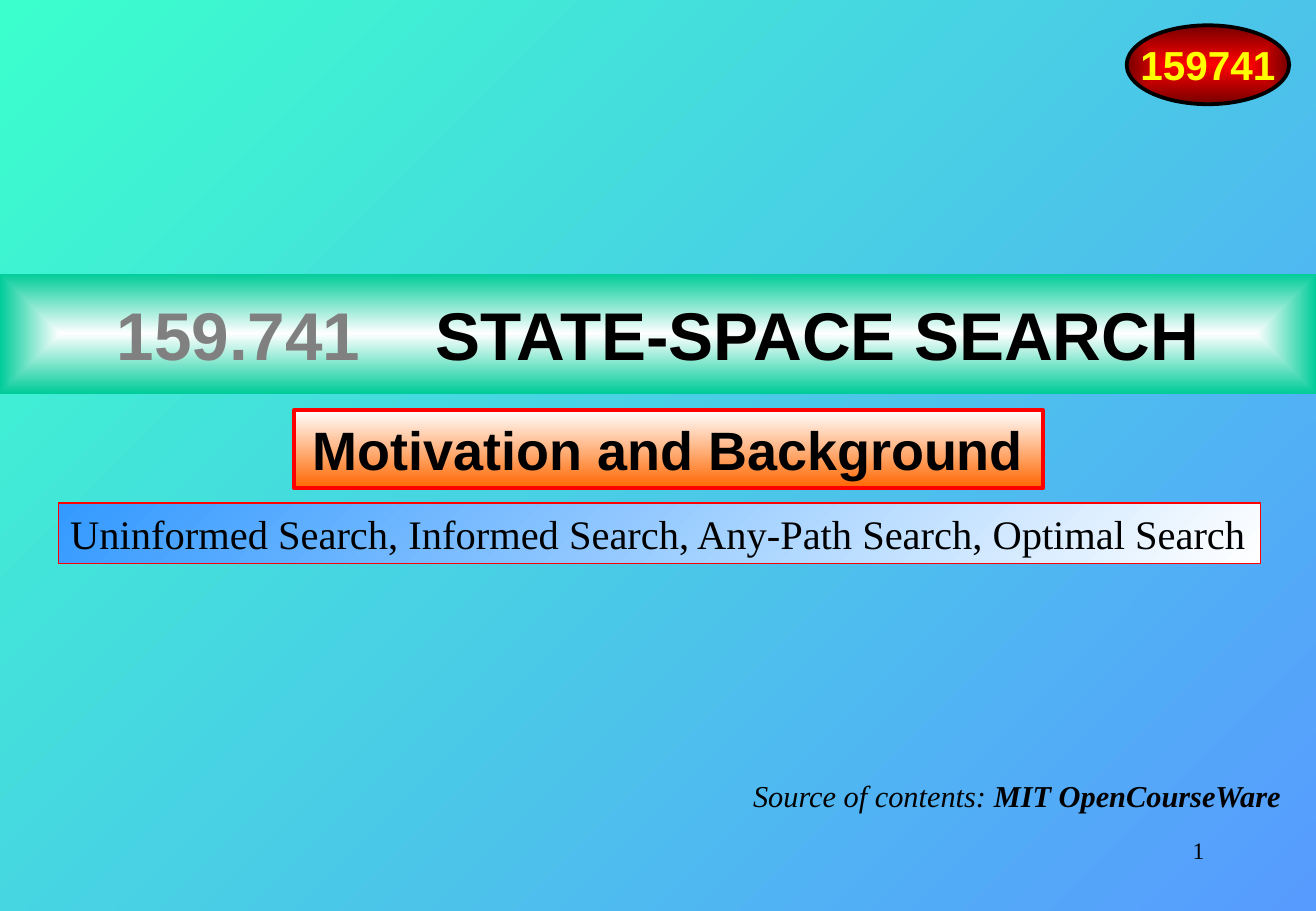
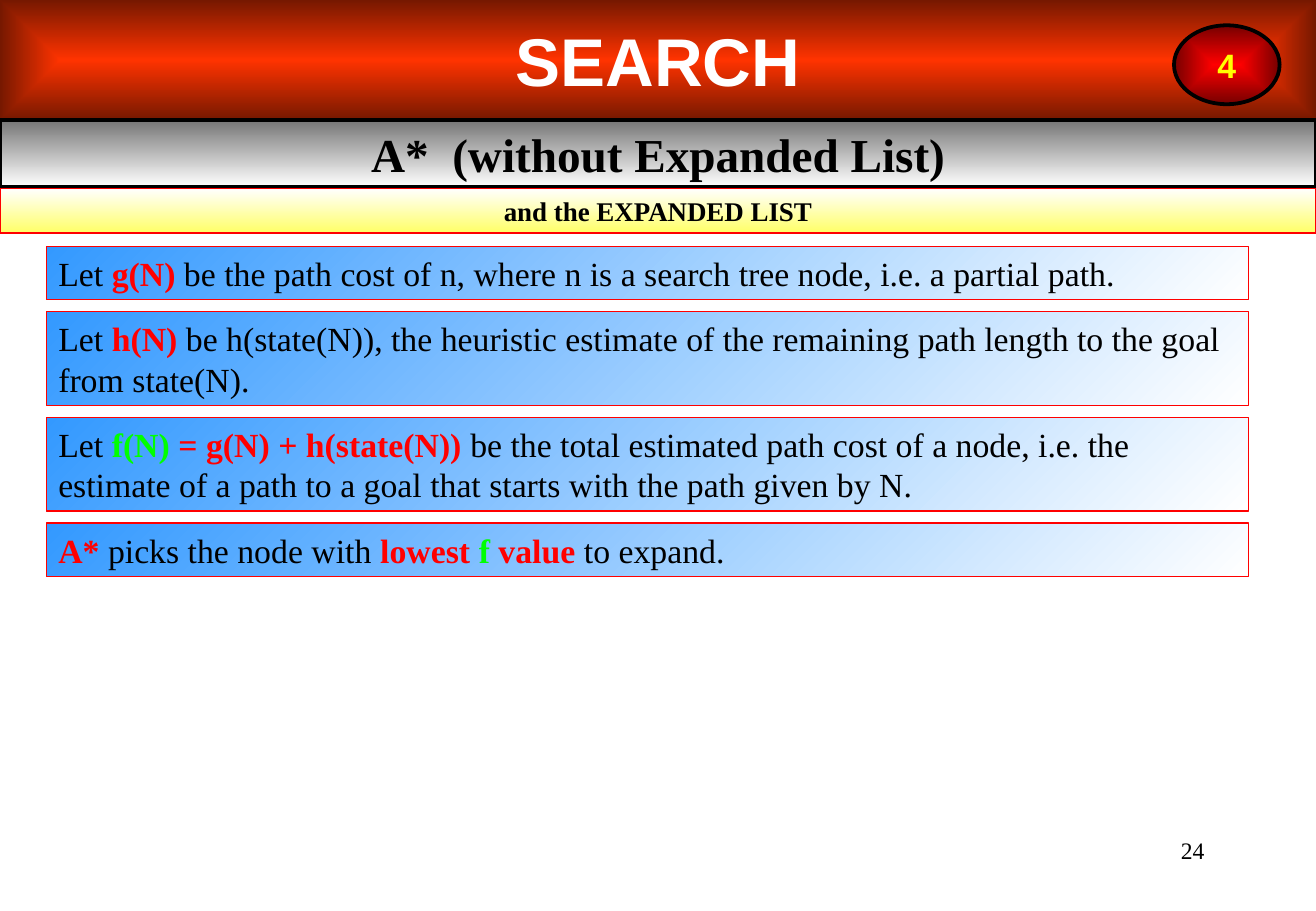
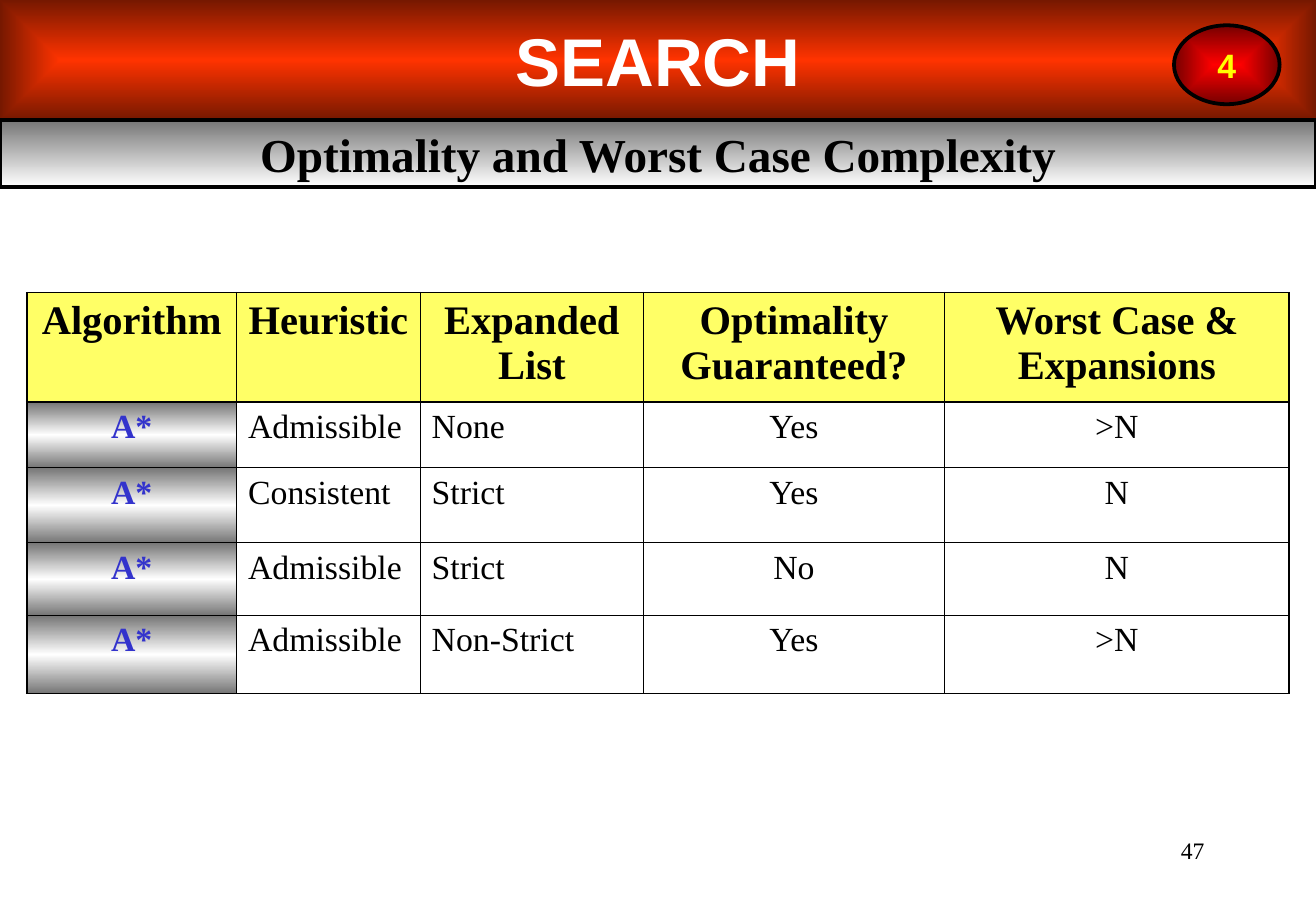
from pptx import Presentation
from pptx.dml.color import RGBColor
from pptx.enum.shapes import MSO_SHAPE
from pptx.enum.text import MSO_ANCHOR, MSO_AUTO_SIZE, PP_ALIGN
from pptx.oxml import parse_xml
from pptx.oxml.ns import nsdecls, qn
from pptx.util import Cm, Pt

WIDTH, HEIGHT = 27.53, 19.05
BAND_HEIGHT = 2.51
BLACK, WHITE, RED, GREEN = "000000", "FFFFFF", "FF0000", "01FF01"
GREY, YELLOW, INDIGO, LEMON = "808080", "FFFF00", "3333CC", "FFFF66"
SERIF, SANS = "Times New Roman", "Arial"
CENTRE = PP_ALIGN.CENTER

GRADIENTS = {
    "backdrop": (45, "3BFFCC", "579BFF"),
    "green band": (None, WHITE, "00CC99"),
    "red band": (None, "FF3300", "761800"),
    "badge": (None, RED, "760000"),
    "orange": (90, WHITE, "FF6600"),
    "blue": (45, "3399FF", WHITE),
    "grey": (90, "767676", WHITE),
    "yellow": (90, WHITE, LEMON),
    "steel": (90, "767676", WHITE, "767676"),
}
FRAME = {
    "margin_left": Cm(0.25), "margin_right": Cm(0.25),
    "margin_top": Cm(0.13), "margin_bottom": Cm(0.13),
    "auto_size": MSO_AUTO_SIZE.NONE, "word_wrap": True,
    "vertical_anchor": MSO_ANCHOR.TOP,
}
MIDDLE = {"vertical_anchor": MSO_ANCHOR.MIDDLE}
ONE_LINE = {"word_wrap": False}
CELL = {
    "margin_left": Cm(0.24), "margin_right": Cm(0.24),
    "margin_top": Cm(0.13), "margin_bottom": Cm(0.13),
    "vertical_anchor": MSO_ANCHOR.TOP,
}

STATEMENTS = [
    (1.12, [("Let ",), ("g(N)", RED),
            (" be the path cost of n, where n is a search tree node, i.e. a partial path.",)]),
    (1.96, [("Let ",), ("h(N)", RED),
            (" be h(state(N)), the heuristic estimate of the remaining path length "
             "to the goal from state(N).",)]),
    (1.96, [("Let ",), ("f(N) ", GREEN), ("= g(N) + h(state(N)) ", RED),
            ("be the total estimated path cost of a node, i.e. the estimate of a path "
             "to a goal that starts with the path given by N.",)]),
    (1.12, [("A* ", RED), ("picks the node with ",), ("lowest ", RED), ("f", GREEN),
            (" value ", RED), ("to expand.",)]),
]
COLUMN_WIDTHS = [4.39, 3.84, 4.67, 6.3, 7.21]
ROW_HEIGHTS = [2.29, 1.37, 1.57, 1.52, 1.63]
COMPLEXITY = [
    ["Algorithm", "Heuristic", "Expanded List", "Optimality Guaranteed?", "Worst Case & Expansions"],
    ["A*", "Admissible", "None", "Yes", ">N"],
    ["A*", "Consistent", "Strict", "Yes", "N"],
    ["A*", "Admissible", "Strict", "No", "N"],
    ["A*", "Admissible", "Non-Strict", "Yes", ">N"],
]


def rgb(value):
    """Turn a hex string into a colour."""
    return RGBColor.from_string(value)


def apply(target, values):
    """Set every attribute named in a dict of format values."""
    for name, value in values.items():
        setattr(target, name, value)


def paint(fill, owner, name):
    """Fill the owner with a named linear or rectangular gradient."""
    angle, *colours = GRADIENTS[name]
    fill.gradient()
    gradient = owner.find(".//" + qn("a:gradFill"))
    for child in list(gradient):
        gradient.remove(child)
    step = 100000 // (len(colours) - 1)
    stops = "".join(
        f'<a:gs pos="{index * step}"><a:srgbClr val="{rgb(colour)}"/></a:gs>'
        for index, colour in enumerate(colours))
    gradient.append(parse_xml(f'<a:gsLst {nsdecls("a")}>{stops}</a:gsLst>'))
    if angle is None:
        direction = (f'<a:path {nsdecls("a")} path="rect">'
                     '<a:fillToRect l="50000" t="50000" r="50000" b="50000"/></a:path>')
    else:
        direction = f'<a:lin {nsdecls("a")} ang="{angle * 60000}" scaled="0"/>'
    gradient.append(parse_xml(direction))


def add_run(paragraph, text, size, colour=BLACK, name=SERIF, bold=False, italic=False, spacing=0):
    """Append one formatted run, with optional extra letter spacing in points."""
    run = paragraph.add_run()
    run.text = text
    apply(run.font, {"size": Pt(size), "name": name, "bold": bold, "italic": italic})
    run.font.color.rgb = rgb(colour)
    if spacing:
        run._r.get_or_add_rPr().set("spc", str(round(spacing * 100)))


def write(text_frame, runs, alignment=PP_ALIGN.LEFT, frame=None, **style):
    """Write one paragraph of (text, format) runs into a text frame."""
    apply(text_frame, {**FRAME, **(frame or {})})
    paragraph = text_frame.paragraphs[0]
    apply(paragraph, {"alignment": alignment, "space_before": Pt(0)})
    for text, values in runs:
        add_run(paragraph, text, **{**style, **values})


def dress(shape, box, gradient, outline=None):
    """Place a shape and give it a gradient and an optional (colour, width) outline."""
    apply(shape, dict(zip(("left", "top", "width", "height"), map(Cm, box))))
    shape.shadow.inherit = False
    paint(shape.fill, shape._element.spPr, gradient)
    if outline:
        colour, width = outline
        shape.line.color.rgb = rgb(colour)
        shape.line.width = Pt(width)
    else:
        shape.line.fill.background()


def add_panel(slide, box, gradient, outline, kind=MSO_SHAPE.RECTANGLE):
    """Add a dressed preset shape and return its text frame."""
    shape = slide.shapes.add_shape(kind, *map(Cm, box))
    dress(shape, box, gradient, outline)
    return shape.text_frame


def add_title(slide, top, gradient, runs):
    """Turn the title placeholder into a full-width band."""
    title = slide.shapes.title
    dress(title, (0, top, WIDTH, BAND_HEIGHT), gradient)
    write(title.text_frame, runs, CENTRE, MIDDLE, size=40, name=SANS, bold=True)


def add_badge(slide, left, width, text, size):
    """Add the red oval at the upper right."""
    frame = add_panel(slide, (left, 0.53, width, 1.65), "badge", (BLACK, 2.25), MSO_SHAPE.OVAL)
    write(frame, [(text, {})], CENTRE, {**MIDDLE, **ONE_LINE},
          size=size, colour=YELLOW, name=SANS, bold=True)


def add_note(slide, box, runs, alignment, size, frame=None, **style):
    """Add a plain text box."""
    text_box = slide.shapes.add_textbox(*map(Cm, box))
    write(text_box.text_frame, runs, alignment, frame, size=size, **style)


def add_page_number(slide, number):
    """Add the page number at the lower right."""
    add_note(slide, (19.71, 17.35, 5.74, 1.27), [(str(number), {})], PP_ALIGN.RIGHT, 14)


def add_content_slide(presentation, heading, number):
    """Add a slide with the red title band, grey heading band, badge and number."""
    slide = presentation.slides.add_slide(presentation.slide_layouts[5])
    add_title(slide, 0, "red band", [("SEARCH", {"colour": WHITE})])
    frame = add_panel(slide, (0, BAND_HEIGHT, WIDTH, 1.4), "grey", (BLACK, 2.25))
    write(frame, heading, CENTRE, MIDDLE, size=28, bold=True)
    add_badge(slide, 24.56, 2.21, "4", 20)
    add_page_number(slide, number)
    return slide


def add_statements(slide, statements, top, gap):
    """Stack blue statement boxes with equal gaps."""
    for height, parts in statements:
        frame = add_panel(slide, (0.97, top, 25.15, height), "blue", (RED, 0.75))
        runs = [(text, {"colour": accent[0], "bold": True} if accent else {})
                for text, *accent in parts]
        write(frame, runs, size=20)
        top += height + gap


def set_borders(cell, widths):
    """Give a cell black borders from a dict of side letters and point widths."""
    properties = cell._tc.get_or_add_tcPr()
    for index, (side, width) in enumerate(widths.items()):
        properties.insert(index, parse_xml(
            f'<a:ln{side} {nsdecls("a")} w="{Pt(width)}"><a:solidFill>'
            f'<a:srgbClr val="{rgb(BLACK)}"/></a:solidFill></a:ln{side}>'))


def fill_cell(cell, text, row, column):
    """Write and colour a cell according to its row and column."""
    header, algorithm = row == 0, column == 0
    apply(cell, CELL)
    paragraph = cell.text_frame.paragraphs[0]
    paragraph.alignment = PP_ALIGN.LEFT if not header and column in (1, 2) else CENTRE
    add_run(paragraph, text, 24 if header else 20,
            INDIGO if algorithm and not header else BLACK, bold=header or algorithm)
    if header:
        cell.fill.solid()
        cell.fill.fore_color.rgb = rgb(LEMON)
    elif algorithm:
        paint(cell.fill, cell._tc, "steel")
    else:
        cell.fill.background()


def add_table(slide, left, top, rows):
    """Add the table with thick outer and header borders."""
    last_row, last_column = len(rows) - 1, len(rows[0]) - 1
    table = slide.shapes.add_table(
        len(rows), len(rows[0]), Cm(left), Cm(top),
        Cm(sum(COLUMN_WIDTHS)), Cm(sum(ROW_HEIGHTS))).table
    apply(table, {"first_row": False, "horz_banding": False})
    for column, width in zip(table.columns, COLUMN_WIDTHS):
        column.width = Cm(width)
    for row, height in zip(table.rows, ROW_HEIGHTS):
        row.height = Cm(height)
    for row, texts in enumerate(rows):
        for column, text in enumerate(texts):
            cell = table.cell(row, column)
            fill_cell(cell, text, row, column)
            thick = {"L": column == 0, "R": column == last_column,
                     "T": row in (0, 1), "B": row in (0, last_row)}
            set_borders(cell, {side: 1.08 if edge else 0.45 for side, edge in thick.items()})


def build_cover(presentation):
    """Build the cover slide."""
    slide = presentation.slides.add_slide(presentation.slide_layouts[0])
    paint(slide.background.fill, slide._element, "backdrop")
    add_title(slide, 5.72, "green band", [
        ("159.741", {"colour": GREY}), (" ", {"spacing": 33.4}), ("STATE-SPACE SEARCH", {})])
    subtitle = slide.placeholders[1]
    dress(subtitle, (6.15, 8.58, 15.67, 1.63), "orange", (RED, 2.25))
    write(subtitle.text_frame, [("Motivation and Background", {})], CENTRE,
          size=32, name=SANS, bold=True)
    add_badge(slide, 23.57, 3.4, "159741", 24)
    topics = add_panel(slide, (1.22, 10.52, 25.15, 1.27), "blue", (RED, 0.75))
    write(topics, [("Uninformed Search, Informed Search, Any-Path Search, Optimal Search", {})],
          frame=ONE_LINE, size=24)
    add_note(slide, (15.47, 16.13, 11.61, 1.02),
             [("Source of contents: ", {}), ("MIT OpenCourseWare", {"bold": True})],
             CENTRE, 18, ONE_LINE, italic=True)
    add_page_number(slide, 1)


def build_definitions(presentation):
    """Build the slide that defines the cost functions."""
    slide = add_content_slide(presentation, [
        ("A*", {}), (" ", {"spacing": 7}), ("(without Expanded List)", {})], 24)
    caption = add_panel(slide, (0, 3.94, WIDTH, 0.94), "yellow", (RED, 1))
    write(caption, [("and the EXPANDED LIST", {})], CENTRE, size=16, bold=True)
    add_statements(slide, STATEMENTS, 5.15, 0.25)


def build_complexity(presentation):
    """Build the slide with the complexity table."""
    slide = add_content_slide(presentation, [("Optimality and Worst Case Complexity", {})], 47)
    add_table(slide, 0.56, 6.12, COMPLEXITY)


def main():
    """Build and save the presentation."""
    presentation = Presentation()
    apply(presentation, {"slide_width": Cm(WIDTH), "slide_height": Cm(HEIGHT)})
    build_cover(presentation)
    build_definitions(presentation)
    build_complexity(presentation)
    presentation.save("out.pptx")


if __name__ == "__main__":
    main()
